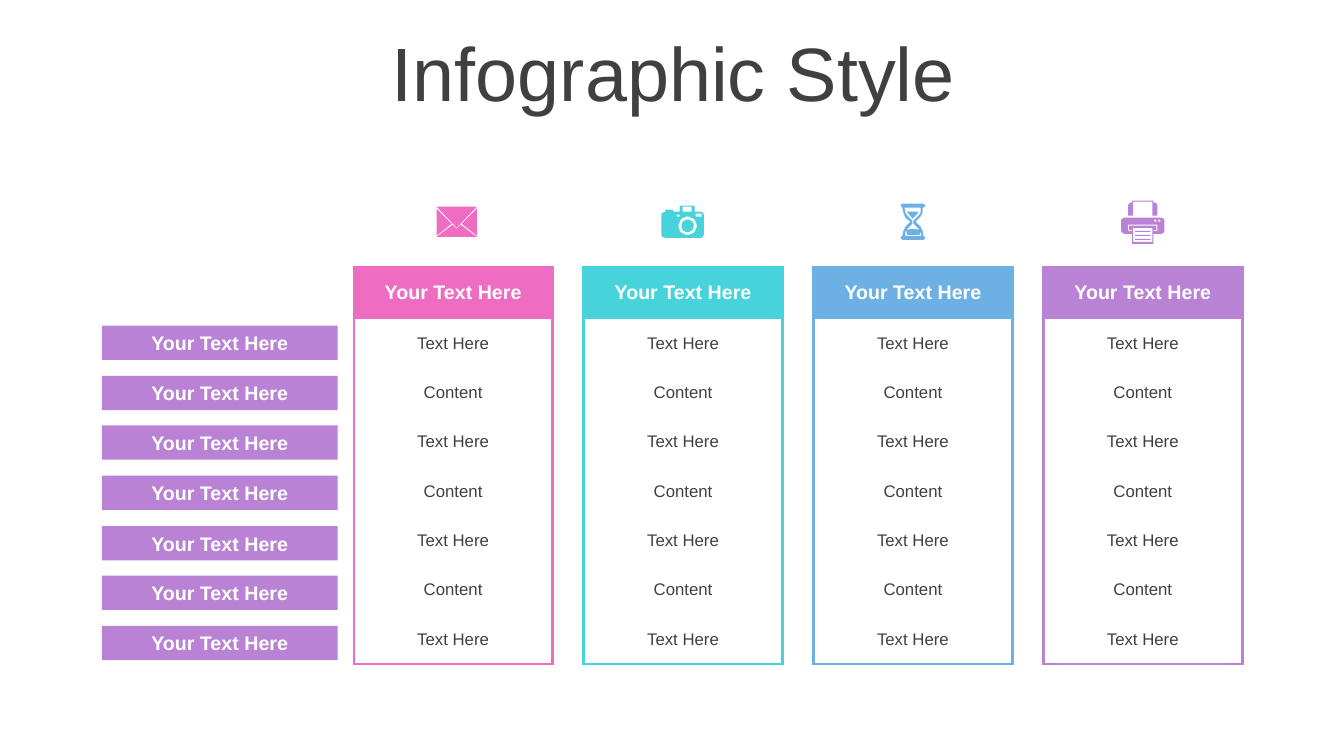
from math import cos, pi, sin

from lxml import etree
from pptx import Presentation
from pptx.dml.color import RGBColor
from pptx.enum.shapes import MSO_SHAPE
from pptx.enum.text import MSO_ANCHOR, MSO_AUTO_SIZE, PP_ALIGN
from pptx.oxml.ns import qn
from pptx.util import Pt

RECT = MSO_SHAPE.RECTANGLE
MIDDLE = MSO_ANCHOR.MIDDLE
CENTER = PP_ALIGN.CENTER
PX = 9144  # 100 px to the inch

PINK = RGBColor(0xEE, 0x6C, 0xC1)
TEAL = RGBColor(0x47, 0xD3, 0xDC)
BLUE = RGBColor(0x6D, 0xB0, 0xE4)
PURPLE = RGBColor(0xB9, 0x82, 0xD5)
DARK = RGBColor(0x40, 0x40, 0x40)
WHITE = RGBColor(0xFF, 0xFF, 0xFF)


def box(left, top, right, bottom):
    return [(left, top), (right, top), (right, bottom), (left, bottom)]


def disc(x, y, r, n=36):
    return [(x + r * cos(2 * pi * i / n), y + r * sin(2 * pi * i / n))
            for i in range(n)]


# Content
TITLE = "Infographic Style"
LABELS = ["Your Text Here"] * 7
ROWS = ["Your Text Here", "Text Here", "Content", "Text Here", "Content",
        "Text Here", "Content", "Text Here"]

# Icon outlines, in px from each icon's corner
MAIL = [
    [(24, 18), (40, 30), (0, 30), (16, 18), (20, 22)],
    [(40, 2), (40, 29), (25, 17)],
    [(0, 2), (15, 17), (0, 29)],
    [(0, 0), (40, 0), (20, 21)],
]
CAMERA = [
    disc(26, 20, 6), disc(26, 20, 9),
    box(15, 9, 18, 11), box(34, 8, 40, 11), box(21, 1, 30, 6),
    [(19, 0), (32, 0), (33, 1), (33, 6), (39, 6), (41, 7), (42, 9),
     (42, 29), (41, 31), (39, 32), (4, 32), (1, 31), (0, 29), (0, 9),
     (1, 7), (4, 6), (4, 4), (11, 4), (12, 6), (18, 6), (18, 1)],
]
GLASS = [
    [(13, 25), (19, 26), (20, 28), (19, 31), (7, 31), (6, 28), (6, 26)],
    [(6, 8), (18, 8), (17, 10), (12, 15), (8, 10)],
    [(4, 4), (5, 9), (7, 12), (12, 17), (12, 20), (7, 25), (5, 28), (5, 32),
     (21, 32), (20, 28), (18, 25), (13, 20), (13, 17), (18, 12), (20, 9),
     (20, 4)],
    [(2, 0), (23, 0), (25, 2), (23, 4), (22, 4), (22, 9), (20, 13), (15, 18),
     (20, 23), (22, 27), (23, 32), (25, 34), (23, 36), (2, 36), (0, 34),
     (2, 32), (3, 27), (5, 23), (10, 18), (5, 14), (3, 9), (2, 4), (0, 2)],
]
PRINTER = [
    *[box(14, y, 29, y + 1) for y in (30, 34, 38)],
    box(12, 27, 31, 41),
    [(7, 24), (7, 30), (11, 30), (11, 29), (8, 29), (8, 25), (35, 25),
     (35, 29), (32, 29), (32, 30), (36, 30), (36, 24)],
    disc(34, 20, 1), disc(38, 20, 1),
    [(3, 17), (40, 17), (42, 18), (43, 19), (43, 30), (42, 32), (40, 33),
     (32, 33), (32, 43), (11, 43), (11, 33), (3, 33), (1, 32), (0, 30),
     (0, 19), (1, 18)],
    [(11, 0), (32, 0), (32, 2), (34, 2), (36, 4), (36, 15), (31, 15),
     (31, 1), (12, 1), (12, 15), (7, 15), (7, 4), (9, 2), (11, 2)],
]
# Column colour, icon outline, icon left and top
COLUMNS = [
    (PINK, MAIL, 433, 205),
    (TEAL, CAMERA, 656, 204),
    (BLUE, GLASS, 893, 202),
    (PURPLE, PRINTER, 1112, 199),
]
COL_X, COL_Y, COL_W, COL_STEP = 351, 265, 197, 228
HEAD_H, ROW_H = 51, 49
LAB_X, LAB_Y, LAB_W, LAB_H, LAB_SPAN = 101, 323, 234, 34, 298


def px(*sizes):
    return [round(size * PX) for size in sizes]


def write(frame, text, size, color, bold=False):
    frame.text = text
    para = frame.paragraphs[0]
    para.alignment = CENTER
    font = para.font
    font.name, font.size, font.bold = "Arial", Pt(size), bold
    font.color.rgb = color
    return para


def paint(shape, color):
    shape.shadow.inherit = False
    shape.fill.solid()
    shape.fill.fore_color.rgb = color
    shape.line.fill.background()


def edge(cell, color, sides):
    props = cell._tc.get_or_add_tcPr()
    for i, side in enumerate("LRTB"):
        line = etree.Element(qn("a:ln" + side), w=str(Pt(2.25)))
        if side in sides:
            fill = etree.SubElement(line, qn("a:solidFill"))
            etree.SubElement(fill, qn("a:srgbClr"), val=str(color))
        else:
            etree.SubElement(line, qn("a:noFill"))
        props.insert(i, line)


def add_column(shapes, left, color):
    last = len(ROWS) - 1
    frame = shapes.add_table(len(ROWS), 1, *px(
        left, COL_Y, COL_W, HEAD_H + last * ROW_H))
    table = frame.table
    table.first_row = table.horz_banding = False
    for i, text in enumerate(ROWS):
        head = i == 0
        table.rows[i].height = (HEAD_H if head else ROW_H) * PX
        cell = table.cell(i, 0)
        cell.vertical_anchor = MIDDLE
        if head:
            cell.fill.solid()
            cell.fill.fore_color.rgb = color
            write(cell.text_frame, text, 14, WHITE, True)
        else:
            cell.fill.background()
            write(cell.text_frame, text, 12, DARK)
        edge(cell, color, "LRT" if head else "LRB" if i == last else "LR")


def add_icon(shapes, paths, left, top, color):
    pen = shapes.build_freeform(*paths[0][0], scale=PX)
    for i, path in enumerate(paths):
        if i:
            pen.move_to(*path[0])
        pen.add_line_segments(path[1:], close=True)
    paint(pen.convert_to_shape(*px(left, top)), color)


def main():
    deck = Presentation()
    deck.slide_width, deck.slide_height = px(1333, 750)
    slide = deck.slides.add_slide(deck.slide_layouts[5])
    shapes = slide.shapes

    # Title
    title = shapes.title
    title.left, title.top, title.width, title.height = px(35, 37, 1266, 79)
    frame = title.text_frame
    frame.auto_size = MSO_AUTO_SIZE.NONE
    frame.vertical_anchor = MIDDLE
    write(frame, TITLE, 54, DARK).line_spacing = 0.9

    # Row labels
    for i, text in enumerate(LABELS):
        top = LAB_Y + round(i * LAB_SPAN / (len(LABELS) - 1))
        label = shapes.add_shape(RECT, *px(LAB_X, top, LAB_W, LAB_H))
        paint(label, PURPLE)
        label.text_frame.vertical_anchor = MIDDLE
        write(label.text_frame, text, 14, WHITE, True)

    # Columns with their icons
    for i, (color, paths, left, top) in enumerate(COLUMNS):
        add_column(shapes, COL_X + i * COL_STEP, color)
        add_icon(shapes, paths, left, top, color)

    deck.save("out.pptx")


if __name__ == "__main__":
    main()
